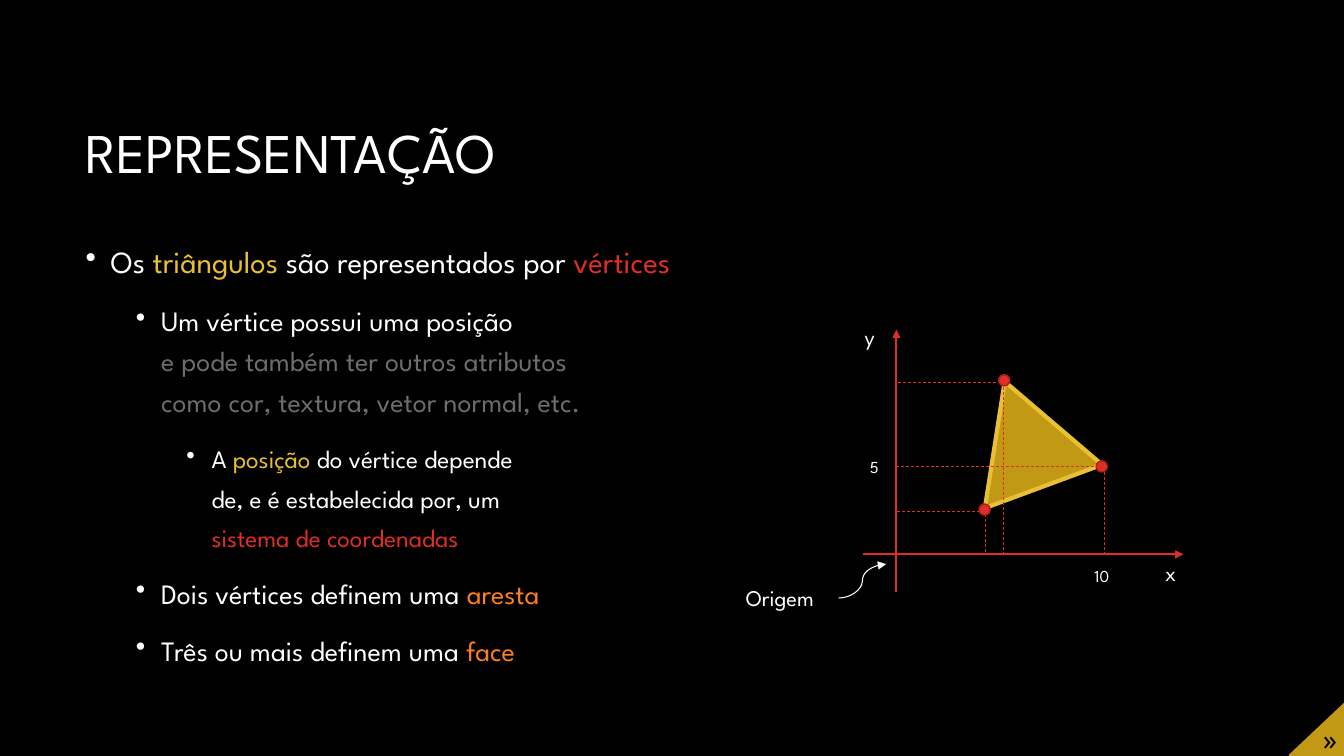
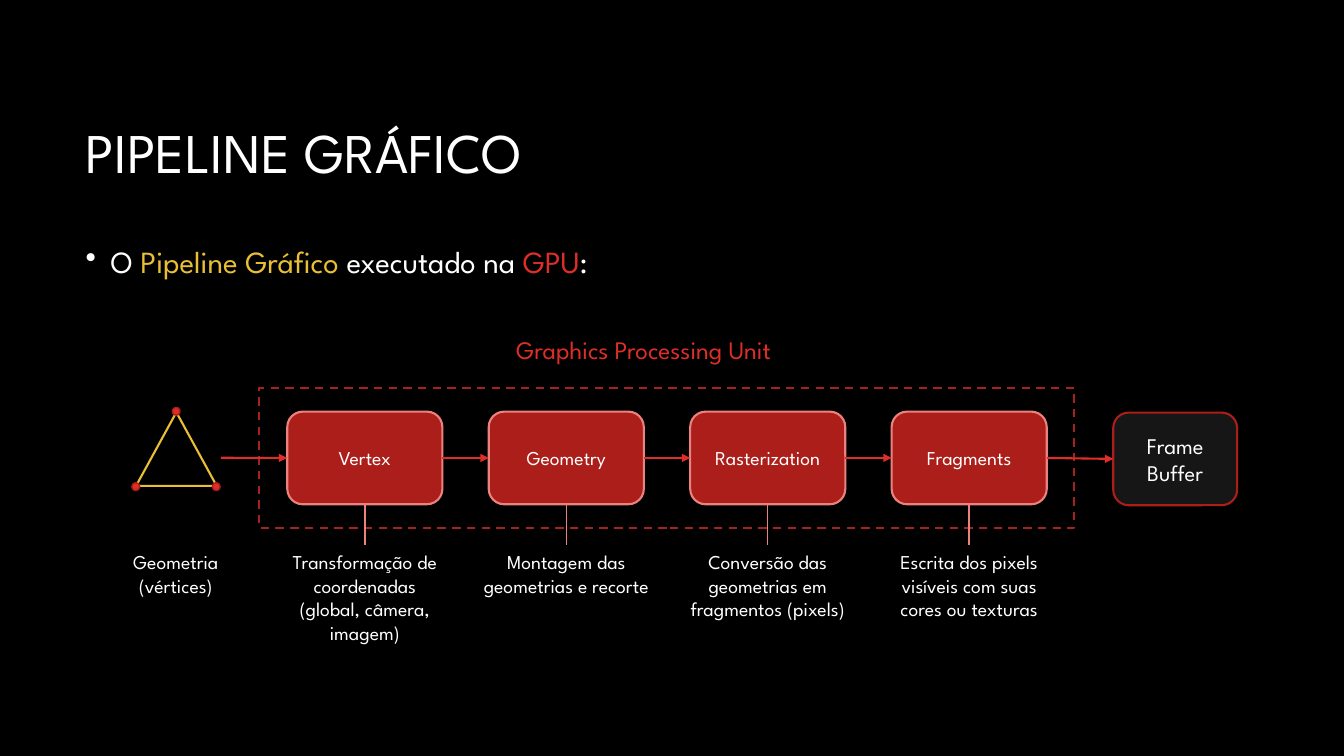
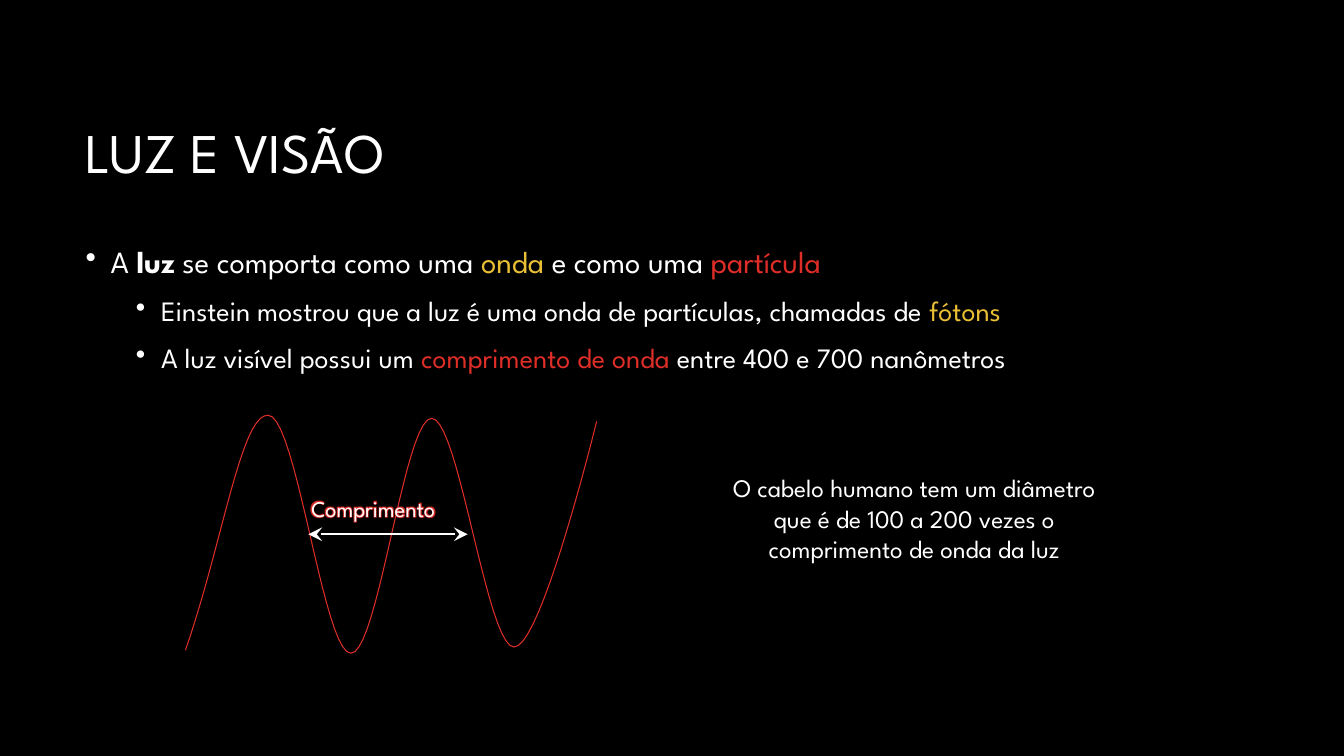
from copy import deepcopy

from lxml import etree
from pptx import Presentation
from pptx.dml.color import RGBColor
from pptx.enum.dml import MSO_LINE
from pptx.enum.shapes import MSO_CONNECTOR, MSO_SHAPE
from pptx.enum.text import MSO_ANCHOR, PP_ALIGN
from pptx.oxml.ns import qn
from pptx.util import Pt

CENTER, LEFT = PP_ALIGN.CENTER, PP_ALIGN.LEFT
TOP_ANCHOR, MIDDLE = MSO_ANCHOR.TOP, MSO_ANCHOR.MIDDLE
DASH = MSO_LINE.DASH
STRAIGHT, CURVE = MSO_CONNECTOR.STRAIGHT, MSO_CONNECTOR.CURVE
RECT, ROUND = MSO_SHAPE.RECTANGLE, MSO_SHAPE.ROUNDED_RECTANGLE
TRIANGLE, OVAL = MSO_SHAPE.ISOSCELES_TRIANGLE, MSO_SHAPE.OVAL
TOP, SIDE_LEFT, BOTTOM, SIDE_RIGHT = range(4)

COLORS = {
    "black": "000000", "white": "FFFFFF", "grey": "6D6D6D", "panel": "161616",
    "red": "DF2E28", "dark_red": "AC1E1A", "frame_red": "A5221E",
    "pink": "EC827E", "yellow": "E9BF35", "gold": "C19915", "orange": "FE801A",
}
FONT, MONO = "League Spartan", "Noto Sans Mono"
BODY_SIZES = (22, 20, 18)


def rgb(name):
    return RGBColor.from_string(COLORS[name])


def write(tf, text, size=14, color="white", font=FONT, align=LEFT,
          spacing=None, before=None, margin=0, bullet=False):
    """Add a paragraph; text is a string or a list of (text, colour[, bold])."""
    p = tf.paragraphs[0]
    if p.runs:
        p = tf.add_paragraph()
    p.alignment = align
    if spacing:
        p.line_spacing = spacing
    if before:
        p.space_before = Pt(before)
    pPr = p._p.get_or_add_pPr()
    if margin:
        pPr.set("marL", str(Pt(margin)))
    if bullet:
        pPr.set("indent", str(Pt(-18)))
        etree.SubElement(pPr, qn("a:buChar")).set("char", "•")
    for part, tint, *bold in [(text, color)] if isinstance(text, str) else text:
        for i, line in enumerate(part.split("\n")):
            if i:
                p.add_line_break()
                p._p[-1].append(deepcopy(r._r.rPr))
            if line:
                r = p.add_run()
                r.text = line
                r.font.size, r.font.name = Pt(size), font
                r.font.bold = bool(bold)
                r.font.color.rgb = rgb(tint)
    return p


class Deck:
    def __init__(self):
        self.prs = Presentation()
        self.prs.slide_width, self.prs.slide_height = Pt(960), Pt(540)
        self.s = None

    def slide(self, title):
        self.s = self.prs.slides.add_slide(self.prs.slide_layouts[6])
        fill = self.s.background.fill
        fill.solid()
        fill.fore_color.rgb = rgb("black")
        self.text(54, 60.5, 852, 101.5, title, anchor=MIDDLE, size=40, spacing=0.9)

    def text(self, x, y, w, h, text, wrap=True, anchor=TOP_ANCHOR, inset=True, **fmt):
        sp = self.s.shapes.add_textbox(Pt(x), Pt(y), Pt(w), Pt(h))
        tf = sp.text_frame
        tf.word_wrap, tf.vertical_anchor = wrap, anchor
        if not inset:
            tf.margin_left = tf.margin_right = tf.margin_top = tf.margin_bottom = 0
        for item in text if isinstance(text, tuple) else (text,):
            write(tf, item, **fmt)
        return sp

    def body(self, items):
        """Bulleted list; each item is (level, line spacing, runs)."""
        sp = self.s.shapes.add_textbox(Pt(54), Pt(172.8), Pt(852), Pt(316.8))
        sp.text_frame.word_wrap = True
        for level, spacing, runs in items:
            write(sp.text_frame, runs, size=BODY_SIZES[level], spacing=spacing,
                  before=12 if level else 10, margin=18 + 36 * level, bullet=True)

    def style(self, sp, fill, line, width, dash=None):
        sp.shadow.inherit = False
        if fill:
            sp.fill.solid()
            sp.fill.fore_color.rgb = rgb(fill)
        else:
            sp.fill.background()
        sp.line.color.rgb = rgb(line)
        sp.line.width = Pt(width)
        if dash:
            sp.line.dash_style = dash

    def shape(self, kind, x, y, w, h, fill, line, width, dash=None,
              text=None, size=14, rotation=0):
        sp = self.s.shapes.add_shape(kind, Pt(x), Pt(y), Pt(w), Pt(h))
        self.style(sp, fill, line, width, dash)
        sp.rotation = rotation
        if text:
            sp.text_frame.word_wrap = True
            sp.text_frame.vertical_anchor = MIDDLE
            write(sp.text_frame, text, size=size, align=CENTER)
        return sp

    def dots(self, centers, d):
        for x, y in centers:
            self.shape(OVAL, x - d / 2, y - d / 2, d, d, "red", "dark_red", 1)

    def outline(self, points, fill, line, width, close):
        (x, y), *rest = [(Pt(a), Pt(b)) for a, b in points]
        builder = self.s.shapes.build_freeform(x, y)
        builder.add_line_segments(rest, close=close)
        self.style(builder.convert_to_shape(), fill, line, width)

    def line(self, start, end, color="red", width=1.5, dash=None, head=None,
             tail=None, size="med", kind=STRAIGHT):
        """Each end is a point (x, y) or a joint (shape, side)."""
        joints = [isinstance(e[0], (int, float)) for e in (start, end)]
        x1, y1 = start if joints[0] else (0, 0)
        x2, y2 = end if joints[1] else (0, 0)
        c = self.s.shapes.add_connector(kind, Pt(x1), Pt(y1), Pt(x2), Pt(y2))
        if not joints[0]:
            c.begin_connect(*start)
        if not joints[1]:
            c.end_connect(*end)
        c.line.color.rgb = rgb(color)
        c.line.width = Pt(width)
        if dash:
            c.line.dash_style = dash
        for tag, arrow in (("a:headEnd", head), ("a:tailEnd", tail)):
            if arrow:
                e = etree.SubElement(c.line._get_or_add_ln(), qn(tag))
                e.set("type", arrow)
                e.set("w", size)
                e.set("len", size)
        etree.SubElement(c._element.spPr, qn("a:effectLst"))


def glow(p, color, radius):
    for r in p.runs:
        effects = etree.Element(qn("a:effectLst"))
        g = etree.SubElement(effects, qn("a:glow"))
        g.set("rad", str(Pt(radius)))
        etree.SubElement(g, qn("a:srgbClr")).set("val", COLORS[color])
        r._r.rPr.find(qn("a:solidFill")).addnext(effects)


def bezier(start, segments, steps=20):
    """Points along a chain of cubic curves."""
    points = [start]
    for b, c, d in segments:
        a = points[-1]
        for i in range(1, steps + 1):
            t = i / steps
            u = 1 - t
            points.append(tuple(
                u**3 * a[k] + 3 * u * u * t * b[k] + 3 * u * t * t * c[k] + t**3 * d[k]
                for k in (0, 1)))
    return points


def representation(deck):
    deck.slide("REPRESENTAÇÃO")
    deck.body([
        (0, 0.9, [("Os ", "white"), ("triângulos", "yellow"),
                  (" são representados por ", "white"), ("vértices", "red")]),
        (1, 1.2, [("Um vértice possui uma posição\n", "white"),
                  ("e pode também ter outros atributos\n"
                   "como cor, textura, vetor normal, etc.", "grey")]),
        (2, 1.3, [("A ", "white"), ("posição", "yellow"),
                  (" do vértice depende \nde, e é estabelecida por, um \n", "white"),
                  ("sistema de coordenadas", "red")]),
        (1, 1.2, [("Dois vértices definem uma ", "white"), ("aresta", "orange")]),
        (1, 1.2, [("Três ou mais definem uma ", "white"), ("face", "orange")]),
    ])

    # Corner mark
    deck.outline([(921, 539.5), (960, 502.7), (960, 539.5)], "gold", "gold", 1, True)
    deck.text(935.3, 515.5, 24.5, 24.5, "»", anchor=MIDDLE, inset=False,
              size=20, color="black", font=MONO, align=CENTER, margin=5)

    # Axes
    axis_x, axis_y = 640.3, 396
    deck.line((axis_x, 422.6), (axis_x, 235.4), tail="triangle")
    deck.line((616.3, axis_y), (845.3, axis_y), tail="triangle")

    # Triangle with guides behind and in front
    def guides(ends):
        for start, end in ends:
            deck.line(start, end, width=0.5, dash=DASH)

    guides([((788.6, 337), (788.6, 397.4)), ((703.6, 367.2), (703.6, axis_y)),
            ((700, 365), (axis_x, 365)), ((711.4, 272.9), (axis_x, 272.9))])
    deck.shape(TRIANGLE, 686.9, 270, 89.3, 79.9, "gold", "yellow", 3, rotation=339.7)
    deck.dots([(703.3, 364), (787, 333.2), (717.3, 271.7)], 8)
    guides([((717, 272.9), (717, axis_y)), ((axis_x, 333.3), (784, 333.3))])

    # Labels
    for x, y, w, h, label, size, align in [
        (825.1, 396, 22.3, 26.6, "x", 16, CENTER),
        (609.8, 227.5, 23, 26.6, "y", 16, CENTER),
        (525.6, 414, 73.4, 26.6, "Origem", 16, LEFT),
        (774.7, 400.3, 28, 21.8, "10", 12, LEFT),
        (614.2, 322.6, 20.9, 21.8, "5", 12, LEFT),
    ]:
        deck.text(x, y, w, h, label, wrap=False, size=size, align=align)
    deck.line((599, 427.2), (633, 403), color="white", width=0.75,
              tail="triangle", kind=CURVE)


def pipeline(deck):
    deck.slide("PIPELINE GRÁFICO")
    deck.body([(0, 0.9, [("O ", "white"), ("Pipeline Gráfico ", "yellow"),
                         ("executado na ", "white"), ("GPU", "red"), (":", "white")])])

    # Processing unit
    deck.text(344.9, 235.4, 229.7, 28.8, "Graphics Processing Unit", wrap=False,
              size=18, color="red", align=CENTER)
    deck.shape(RECT, 185, 277.2, 582.5, 100, None, "frame_red", 1.5, DASH)

    # Stages with their captions
    stages = [
        ("Vertex", "Transformação de coordenadas\n(global, câmera, imagem)"),
        ("Geometry", "Montagem das geometrias e recorte"),
        ("Rasterization", "Conversão das geometrias em fragmentos (pixels)"),
        ("Fragments", "Escrita dos pixels visíveis com suas cores ou texturas"),
    ]
    stage_w, caption_w, caption_y, pitch = 110.8, 137.5, 389.5, 143.9
    previous = (157.7, 327)
    for i, (name, caption) in enumerate(stages):
        x = 205.2 + pitch * i
        box = deck.shape(ROUND, x, 294, stage_w, 66.2, "dark_red", "pink", 1.5, text=name)
        note = deck.text(x + (stage_w - caption_w) / 2, caption_y, caption_w, 75,
                         caption, align=CENTER)
        deck.line(previous, (box, SIDE_LEFT), tail="triangle")
        deck.line((box, BOTTOM), (note, TOP), color="pink", width=1)
        previous = (box, SIDE_RIGHT)

    # Output
    buffer = deck.shape(ROUND, 795.2, 294.7, 88.5, 66.2, "panel", "dark_red", 1.5,
                        text="Frame Buffer", size=16)
    deck.line(previous, (buffer, SIDE_LEFT), tail="triangle")

    # Input geometry
    deck.shape(TRIANGLE, 97.2, 294.5, 57.6, 52.6, None, "yellow", 1.5)
    deck.dots([(97, 347.6), (154.5, 347.6), (125.9, 293.8)], 5.5)
    deck.text(76.3, caption_y, 98.6, 41, ("Geometria", "(vértices)"), align=CENTER)


def light(deck):
    deck.slide("LUZ E VISÃO")
    deck.body([
        (0, 0.9, [("A ", "white"), ("luz", "white", True),
                  (" se comporta como uma ", "white"), ("onda", "yellow"),
                  (" e como uma ", "white"), ("partícula", "red")]),
        (1, 0.9, [("Einstein mostrou que a luz é uma onda de partículas, chamadas de ",
                   "white"), ("fótons", "yellow")]),
        (1, 0.9, [("A luz visível possui um ", "white"), ("comprimento de onda", "red"),
                  (" entre 400 e 700 nanômetros", "white")]),
    ])

    # Wave
    wave = bezier((132.5, 464.4), [
        ((159.1, 388.1), (172.1, 295.9), (191.5, 296.6)),
        ((211.7, 296.6), (231.1, 466.6), (250.6, 466.6)),
        ((270, 467.3), (288.7, 299.5), (308.2, 298.8)),
        ((327.6, 298.1), (347.8, 462.2), (367.2, 462.2)),
        ((386.6, 463), (426.2, 301), (426.2, 301)),
    ])
    deck.outline(wave, None, "red", 0.75, False)

    # Wavelength
    deck.line((220.3, 381.6), (334.1, 381.6), color="white", width=1.75,
              head="stealth", tail="stealth", size="lg")
    label = deck.text(215.3, 349.9, 123.8, 26.6, "Comprimento", wrap=False, size=16)
    glow(label.text_frame.paragraphs[0], "red", 3)

    # Comparison
    deck.text(511.9, 334.1, 282.2, 95.8,
              "O cabelo humano tem um diâmetro que é de 100 a 200 vezes o "
              "comprimento de onda da luz", size=18, align=CENTER)


def main():
    deck = Deck()
    representation(deck)
    pipeline(deck)
    light(deck)
    deck.prs.save("out.pptx")


if __name__ == "__main__":
    main()
